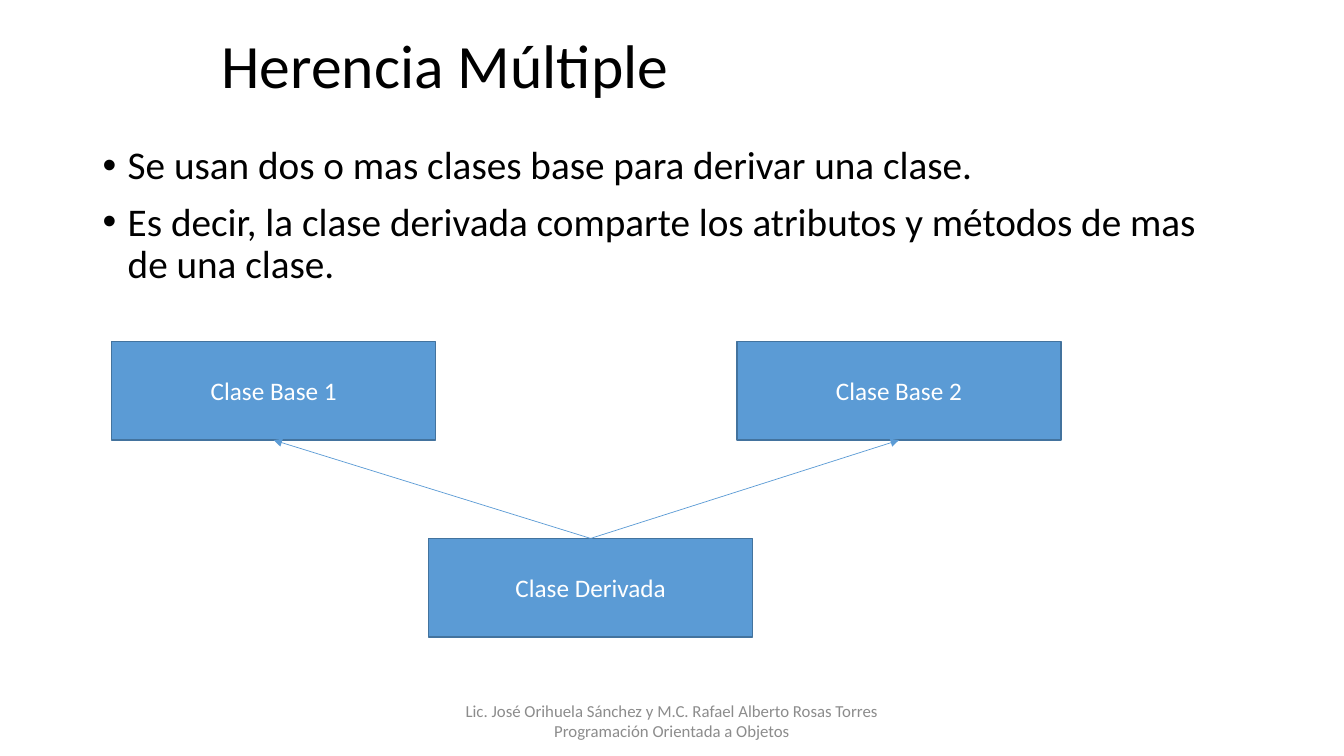
from dataclasses import dataclass

from lxml.etree import SubElement
from pptx import Presentation
from pptx.dml.color import RGBColor
from pptx.enum.shapes import MSO_CONNECTOR as Connector, MSO_SHAPE as ShapeKind
from pptx.enum.text import MSO_ANCHOR as Anchor, PP_ALIGN as Align
from pptx.oxml.ns import qn
from pptx.shapes.autoshape import Shape
from pptx.slide import Slide
from pptx.util import Pt

BLACK = RGBColor(0x00, 0x00, 0x00)
WHITE = RGBColor(0xFF, 0xFF, 0xFF)
GRAY = RGBColor(0x8C, 0x8C, 0x8C)
BLUE = RGBColor(0x5B, 0x9B, 0xD5)
DARK_BLUE = RGBColor(0x43, 0x73, 0x9E)

FONT = "Calibri"
BOX_WIDTH, BOX_HEIGHT = 231.4, 70.4
BASE_TOP, DERIVED_TOP = 244, 384.6
BULLET_INDENT = 18
TOP_SITE, BOTTOM_SITE = 0, 2


@dataclass(frozen=True)
class ClassBox:
    """A class of the inheritance diagram; lengths in points."""
    name: str
    left: float
    top: float


BASES = [
    ClassBox("Clase Base 1", 79.8, BASE_TOP),
    ClassBox("Clase Base 2", 526.4, BASE_TOP),
]
DERIVED = ClassBox("Clase Derivada", 306.2, DERIVED_TOP)
POINTS = [
    "Se usan dos o mas clases base para derivar una clase.",
    "Es decir, la clase derivada comparte los atributos y métodos de mas de una clase.",
]


def write_text(shape: Shape, *lines: str, size: float, color: RGBColor = BLACK,
               align: Align = Align.LEFT, anchor: Anchor = Anchor.MIDDLE,
               spacing: float = 1.0, before: float = 0, bullet: str = "") -> None:
    """Fill a shape with one formatted paragraph per line."""
    frame = shape.text_frame
    frame.word_wrap = True
    frame.vertical_anchor = anchor
    for index, line in enumerate(lines):
        paragraph = frame.add_paragraph() if index else frame.paragraphs[0]
        paragraph.alignment = align
        paragraph.line_spacing = spacing
        paragraph.space_before = Pt(before)
        run = paragraph.add_run()
        run.text = line
        run.font.name = FONT
        run.font.size = Pt(size)
        run.font.color.rgb = color
        if bullet:
            properties = paragraph._p.get_or_add_pPr()
            properties.set("marL", str(Pt(BULLET_INDENT)))
            properties.set("indent", str(-Pt(BULLET_INDENT)))
            SubElement(properties, qn("a:buFont"), typeface="Arial")
            SubElement(properties, qn("a:buChar"), char=bullet)


def add_text_box(slide: Slide, left: float, top: float, width: float,
                 height: float) -> Shape:
    """Add an empty text box placed in points."""
    return slide.shapes.add_textbox(Pt(left), Pt(top), Pt(width), Pt(height))


def add_class_box(slide: Slide, box: ClassBox) -> Shape:
    """Draw a class as a labelled rectangle."""
    shape = slide.shapes.add_shape(ShapeKind.RECTANGLE, Pt(box.left), Pt(box.top),
                                   Pt(BOX_WIDTH), Pt(BOX_HEIGHT))
    shape.shadow.inherit = False
    shape.fill.solid()
    shape.fill.fore_color.rgb = BLUE
    shape.line.color.rgb = DARK_BLUE
    shape.line.width = Pt(1)
    write_text(shape, box.name, size=18, color=WHITE, align=Align.CENTER)
    return shape


def add_inheritance_arrow(slide: Slide, derived: Shape, base: Shape) -> None:
    """Draw an arrow from a derived class up to its base class."""
    arrow = slide.shapes.add_connector(Connector.STRAIGHT, 0, 0, 0, 0)
    arrow.begin_connect(derived, TOP_SITE)
    arrow.end_connect(base, BOTTOM_SITE)
    arrow.line.color.rgb = BLUE
    arrow.line.width = Pt(0.5)
    SubElement(arrow.line._get_or_add_ln(), qn("a:tailEnd"), type="triangle")
    SubElement(arrow._element.spPr, qn("a:effectLst"))


def main() -> None:
    """Build the slide and save it."""
    presentation = Presentation()
    presentation.slide_width, presentation.slide_height = Pt(960), Pt(540)
    slide = presentation.slides.add_slide(presentation.slide_layouts[6])

    title = add_text_box(slide, 151.2, 13.7, 743, 70.6)
    write_text(title, "Herencia Múltiple", size=44, spacing=0.9)
    body = add_text_box(slide, 66.2, 100.8, 828, 116)
    write_text(body, *POINTS, size=28, anchor=Anchor.TOP, spacing=0.9,
               before=10, bullet="•")
    footer = add_text_box(slide, 318, 500.5, 324, 28.8)
    write_text(footer, "Lic. José Orihuela Sánchez y M.C. Rafael Alberto Rosas Torres "
               "Programación Orientada a Objetos", size=12, color=GRAY,
               align=Align.CENTER)

    bases = [add_class_box(slide, box) for box in BASES]
    derived = add_class_box(slide, DERIVED)
    for base in bases:
        add_inheritance_arrow(slide, derived, base)

    presentation.save("out.pptx")


main()
